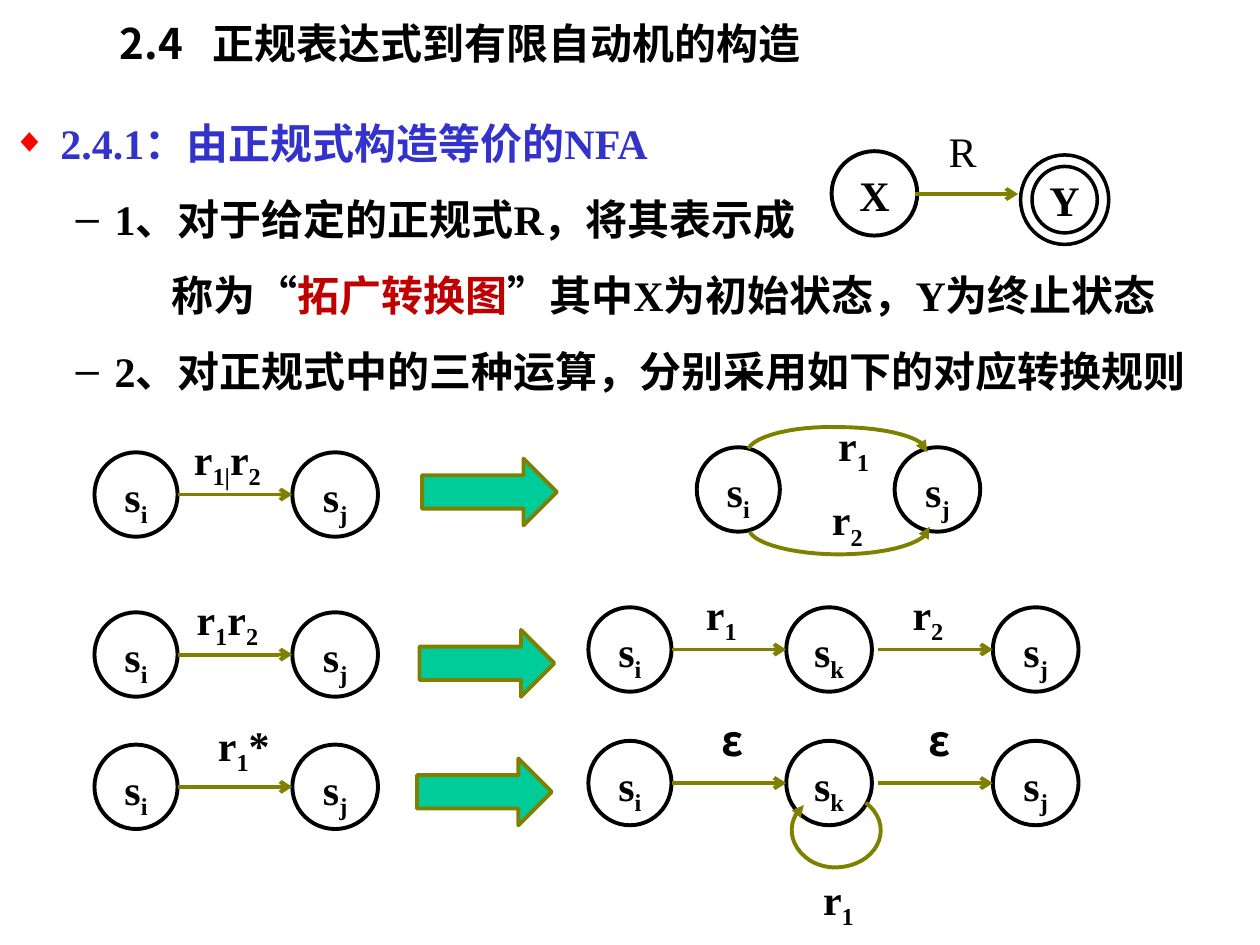
import pptx
import pptx.util
import pptx.dml.color
import pptx.enum.shapes
import pptx.enum.text
import pptx.oxml
import pptx.oxml.ns

COLOURS = {
    "ink": "000000", "heading": "3333CC", "term": "C00000",
    "bullet": "FF0000", "edge": "808000", "block": "00CC99",
}
SERIF, SANS = "Times New Roman", "Noto Sans CJK SC"
SIZE = 24
STATE_WIDTH, STATE_HEIGHT = 0.68, 0.67
STATE_OFFSETS = (0, 1.57, 3.21)
EDGE_LENGTH = 0.91
LABEL_WIDTH, LABEL_HEIGHT = 0.77, 0.56
SHAPES = pptx.enum.shapes.MSO_SHAPE
ANCHORS = pptx.enum.text.MSO_ANCHOR
INCH = pptx.util.Inches


def colour(name):
    return pptx.dml.color.RGBColor.from_string(COLOURS[name])


def add_element(parent, tag, **attributes):
    element = pptx.oxml.parse_xml(f'<{tag} {pptx.oxml.ns.nsdecls("a")}/>')
    for key, value in attributes.items():
        element.set(key, str(value))
    parent.append(element)
    return element


def format_run(run, tint="ink", font=SERIF, bold=True):
    run.font.size = pptx.util.Pt(SIZE)
    run.font.bold = bold
    run.font.name = font
    run.font.color.rgb = colour(tint)
    add_element(run.font._element, "a:ea", typeface=SANS)


def write_symbol(shape, parts, font=SERIF, bold=True, anchor=ANCHORS.TOP):
    """Every second part is a subscript."""
    frame = shape.text_frame
    frame.vertical_anchor = anchor
    paragraph = frame.paragraphs[0]
    paragraph.alignment = pptx.enum.text.PP_ALIGN.CENTER
    for index, part in enumerate(parts):
        run = paragraph.add_run()
        run.text = part
        format_run(run, font=font, bold=bold)
        if index % 2:
            run.font._element.set("baseline", "-25000")


def outline(shape, tint, width=2.25, fill=None):
    shape.shadow.inherit = False
    shape.line.color.rgb = colour(tint)
    shape.line.width = pptx.util.Pt(width)
    if fill:
        shape.fill.solid()
        shape.fill.fore_color.rgb = colour(fill)
    else:
        shape.fill.background()


def add_state(shapes, left, top, parts, width=STATE_WIDTH):
    state = shapes.add_shape(SHAPES.OVAL, INCH(left), INCH(top), INCH(width), INCH(STATE_HEIGHT))
    outline(state, "ink")
    write_symbol(state, parts)


def add_label(shapes, left, top, parts, font=SERIF, bold=True, width=LABEL_WIDTH):
    label = shapes.add_textbox(INCH(left), INCH(top), INCH(width), INCH(LABEL_HEIGHT))
    label.text_frame.word_wrap = True
    write_symbol(label, parts, font, bold)


def add_edge(shapes, left, top, length=EDGE_LENGTH):
    edge = shapes.add_connector(pptx.enum.shapes.MSO_CONNECTOR.STRAIGHT,
                                INCH(left), INCH(top), INCH(left + length), INCH(top))
    edge.line.color.rgb = colour("edge")
    edge.line.width = pptx.util.Pt(2.25)
    add_element(edge.line._get_or_add_ln(), "a:tailEnd", type="arrow")
    add_element(edge._element.spPr, "a:effectLst")


def add_curve(shapes, left, top, points, steps=12):
    """Draws joined cubic curves; points are offsets from the given corner."""
    samples = []
    for start in range(0, len(points) - 1, 3):
        for step in range(steps + 1):
            t = step / steps
            weights = ((1 - t) ** 3, 3 * t * (1 - t) ** 2, 3 * t * t * (1 - t), t ** 3)
            samples.append(tuple(
                INCH(corner + sum(weight * point[axis] for weight, point
                                  in zip(weights, points[start:start + 4])))
                for axis, corner in enumerate((left, top))))
    builder = shapes.build_freeform(*samples[0])
    builder.add_line_segments(samples[1:], close=False)
    curve = builder.convert_to_shape()
    outline(curve, "edge")
    add_element(curve.line._get_or_add_ln(), "a:tailEnd", type="triangle")


def add_chain(shapes, left, top, names, labels, shift=(0, 0), font=SERIF):
    """States in a row, joined by labelled edges."""
    for index, (name, offset) in enumerate(zip(names, STATE_OFFSETS)):
        add_state(shapes, left + offset, top, ("s", name), STATE_WIDTH if index else 0.66)
        if index:
            start = left + offset - EDGE_LENGTH
            add_edge(shapes, start, top + STATE_HEIGHT / 2)
            add_label(shapes, start + 0.01 + shift[0], top - 0.2 + shift[1], labels[index - 1], font)


def add_block_arrow(shapes, left, top):
    arrow = shapes.add_shape(SHAPES.RIGHT_ARROW, INCH(left), INCH(top), INCH(1.07), INCH(0.53))
    outline(arrow, "edge", fill="block")


def add_title(slide):
    title = slide.shapes.title
    title.left, title.top, title.width, title.height = map(INCH, (0.85, 0, 7.09, 0.68))
    title.text_frame.text = "2.4\t正规表达式到有限自动机的构造"
    title.text_frame.vertical_anchor = ANCHORS.MIDDLE
    paragraph = title.text_frame.paragraphs[0]
    paragraph.alignment = pptx.enum.text.PP_ALIGN.LEFT
    tabs = add_element(paragraph._p.get_or_add_pPr(), "a:tabLst")
    add_element(tabs, "a:tab", pos=INCH(0.74), algn="l")
    format_run(paragraph.runs[0], font=SANS)


def add_body(slide):
    body = slide.placeholders[1]
    body.left, body.top, body.width, body.height = map(INCH, (0, 0.68, 10, 6.82))
    frame = body.text_frame
    frame.auto_size = pptx.enum.text.MSO_AUTO_SIZE.NONE
    # level, margin, indent, bullet, bullet colour, runs
    lines = (
        (0, 0.38, -0.38, "◆", "bullet", [("2.4.1：由正规式构造等价的NFA", "heading")]),
        (1, 0.81, -0.31, "–", "ink", [("1、对于给定的正规式R，将其表示成", "ink")]),
        (1, 1.26, 0, None, None, [("称为“", "ink"), ("拓广转换图", "term"),
                                  ("”其中X为初始状态，Y为终止状态", "ink")]),
        (1, 0.81, -0.31, "–", "ink", [("2、对正规式中的三种运算，分别采用如下的对应转换规则", "ink")]),
    )
    for index, (level, margin, indent, bullet, tint, runs) in enumerate(lines):
        paragraph = frame.add_paragraph() if index else frame.paragraphs[0]
        paragraph.level = level
        paragraph.line_spacing = 1.3 if level else 1.5
        paragraph.space_before = pptx.util.Pt(6 if level else 0)
        properties = paragraph._p.get_or_add_pPr()
        properties.set("marL", str(INCH(margin)))
        properties.set("indent", str(INCH(indent)))
        if bullet:
            bullet_colour = add_element(properties, "a:buClr")
            add_element(bullet_colour, "a:srgbClr", val=COLOURS[tint])
            add_element(properties, "a:buSzPct", val=100000 if level else 80000)
            add_element(properties, "a:buChar", char=bullet)
        else:
            add_element(properties, "a:buNone")
        for text, run_tint in runs:
            run = paragraph.add_run()
            run.text = text
            format_run(run, run_tint)


def add_generalised_graph(shapes, left, top):
    add_state(shapes, left, top, ("X",))
    add_edge(shapes, left + 0.66, top + 0.34, 0.82)
    add_label(shapes, left + 0.83, top - 0.25, ("R",), bold=False, width=0.42)
    final = shapes.add_shape(SHAPES.DONUT, INCH(left + 1.5), INCH(top + 0.03), INCH(0.7), INCH(0.71))
    final.adjustments[0] = 0.13
    outline(final, "ink", 2)
    write_symbol(final, ("Y",), anchor=ANCHORS.MIDDLE)


def add_union_rule(shapes, left, top):
    add_chain(shapes, left, top, "ij", [("r", "1|", "r", "2")])
    add_block_arrow(shapes, left + 2.6, top + 0.05)
    right, above = left + 4.78, top - 0.04
    add_state(shapes, right, above, ("s", "i"), 0.66)
    add_state(shapes, right + 1.57, above, ("s", "j"))
    add_curve(shapes, right, above, [(0.41, 0.01), (0.46, -0.09), (0.77, -0.17), (1.12, -0.16),
                                     (1.52, -0.16), (1.83, -0.07), (1.83, 0.04)])
    add_curve(shapes, right, above, [(0.42, 0.67), (0.47, 0.77), (0.78, 0.85), (1.13, 0.85),
                                     (1.53, 0.85), (1.85, 0.75), (1.85, 0.63)])
    add_label(shapes, right + 0.86, above - 0.27, ("r", "1"))
    add_label(shapes, right + 0.81, above + 0.32, ("r", "2"))


def add_concatenation_rule(shapes, left, top):
    add_chain(shapes, left, top, "ij", [("r", "1", "r", "2")])
    add_block_arrow(shapes, left + 2.58, top + 0.14)
    add_chain(shapes, left + 3.92, top - 0.04, "ikj", [("r", "1"), ("r", "2")])


def add_closure_rule(shapes, left, top):
    add_chain(shapes, left, top, "ij", [("r", "1", "*")], (0.13, -0.05))
    add_block_arrow(shapes, left + 2.56, top + 0.11)
    right, above = left + 3.92, top - 0.03
    add_chain(shapes, right, above, "ikj", [("ε",), ("ε",)], (0.09, -0.06), SANS)
    add_curve(shapes, right, above, [(2.2, 0.49), (2.36, 0.61), (2.36, 0.81), (2.2, 0.93),
                                     (2.07, 1.02), (1.89, 1.03), (1.76, 0.95),
                                     (1.59, 0.84), (1.56, 0.64), (1.71, 0.51)])
    add_label(shapes, right + 1.6, above + 1, ("r", "1"))


def main():
    presentation = pptx.Presentation()
    presentation.slide_width, presentation.slide_height = INCH(10), INCH(7.5)
    slide = presentation.slides.add_slide(presentation.slide_layouts[1])
    add_body(slide)
    add_title(slide)
    add_generalised_graph(slide.shapes, 6.6, 1.2)
    # One group for each conversion rule
    rules = ((add_union_rule, 3.59), (add_concatenation_rule, 4.86), (add_closure_rule, 5.91))
    for add_rule, top in rules:
        add_rule(slide.shapes.add_group_shape().shapes, 0.75, top)
    presentation.save("out.pptx")


if __name__ == "__main__":
    main()
